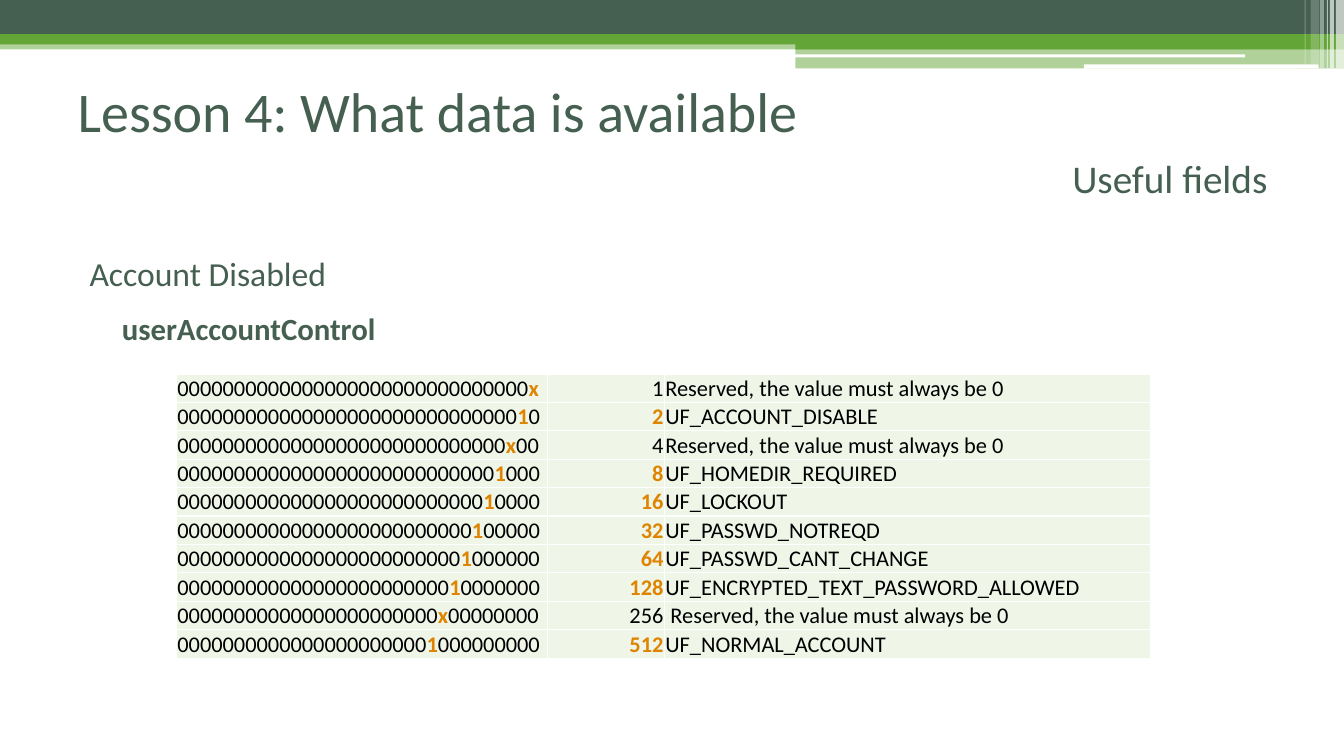
from lxml.etree import SubElement
from pptx import Presentation
from pptx.dml.color import RGBColor
from pptx.enum.shapes import MSO_SHAPE
from pptx.enum.text import MSO_ANCHOR, MSO_AUTO_SIZE, PP_ALIGN
from pptx.oxml.ns import qn
from pptx.util import Pt

PX = 9144  # one hundred px to the inch
THEME = {
    "font": "Calibri",
    "dark": RGBColor.from_string("455F51"),
    "green": RGBColor.from_string("63A537"),
    "white": RGBColor.from_string("FFFFFF"),
    "black": RGBColor.from_string("000000"),
    "orange": RGBColor.from_string("DE8400"),
    "cell": RGBColor.from_string("EFF6E8"),
    "title": 40, "subtitle": 28, "heading": 24, "field": 22, "table": 16,
}


def add_span(para, text, size, color, bold=False):
    span = para.add_run()
    span.text = text
    look = {"name": THEME["font"], "size": Pt(THEME[size]), "bold": bold}
    for key, value in look.items():
        setattr(span.font, key, value)
    span.font.color.rgb = THEME[color]


def place(shape, left, top, width, height):
    spot = {"left": left, "top": top, "width": width, "height": height}
    for key, value in spot.items():
        setattr(shape, key, value * PX)


deck = Presentation()
deck.slide_width, deck.slide_height = 1333 * PX, 750 * PX
page = deck.slides.add_slide(deck.slide_layouts[1])
shapes = page.shapes

# Header bands: left, top, width, height, colour, opacity in percent
RECT, ROUND = MSO_SHAPE.RECTANGLE, MSO_SHAPE.ROUNDED_RECTANGLE
bands = [
    (RECT, 0, 40, 1333, 9, "green", 50),
    (RECT, 0, 0, 1333, 34, "dark", 100),
    (RECT, 0, 34, 1333, 10, "green", 100),
    (RECT, 789, 39, 544, 10, "green", 100),
    (RECT, 789, 48, 544, 20, "green", 50),
    (ROUND, 788, 54, 447, 3, "white", 100),
    (ROUND, 1075, 64, 233, 4, "white", 100),
    (RECT, 1325, 0, 8, 68, "white", 65),
    (RECT, 1319, 0, 4, 68, "white", 65),
    (RECT, 1316, 0, 1, 68, "white", 60),
    (RECT, 1309, 0, 4, 68, "white", 40),
    (RECT, 1300, 0, 8, 64, "white", 20),
    (RECT, 1294, 0, 1, 64, "white", 30),
]
for kind, left, top, width, height, color, opacity in bands:
    band = shapes.add_shape(kind, 0, 0, 0, 0)
    place(band, left, top, width, height)
    band.shadow.inherit = False
    band.line.fill.background()
    band.fill.solid()
    band.fill.fore_color.rgb = THEME[color]
    if opacity < 100:
        tint = band.fill._xPr.find(qn("a:solidFill"))[0]
        SubElement(tint, qn("a:alpha"), val=str(opacity * 1000))

# Title, subtitle and headings: box, place, text, size, bold, indent, alignment, anchor
LEFT, RIGHT = PP_ALIGN.LEFT, PP_ALIGN.RIGHT
TOP, MIDDLE = MSO_ANCHOR.TOP, MSO_ANCHOR.MIDDLE
texts = [
    (shapes.title, (67, 51, 1200, 117), "Lesson 4: What data is available",
     "title", False, 0, LEFT, MIDDLE),
    (page.placeholders[1], (67, 148, 1200, 57), "Useful fields",
     "subtitle", False, 12, RIGHT, TOP),
    (shapes.add_textbox(0, 0, 0, 0), (67, 246, 1114, 56), "Account Disabled",
     "heading", False, 12, LEFT, TOP),
    (shapes.add_textbox(0, 0, 0, 0), (67, 302, 1237, 347), "userAccountControl",
     "field", True, 44, LEFT, TOP),
]
for box, spot, text, size, bold, indent, align, anchor in texts:
    place(box, *spot)
    frame = box.text_frame
    frame_format = {"word_wrap": True, "auto_size": MSO_AUTO_SIZE.NONE,
                    "vertical_anchor": anchor}
    for key, value in frame_format.items():
        setattr(frame, key, value)
    para = frame.paragraphs[0]
    settings = para._p.get_or_add_pPr()
    settings.set("marL", str(indent * PX))
    settings.set("indent", "0")
    SubElement(settings, qn("a:buNone"))
    para.alignment = align
    para.space_before = Pt(0)
    add_span(para, text, size, "dark", bold)

# Flag table: row n describes bit n of a 32-bit value
BITS = 32
RESERVED = "Reserved, the value must always be 0"
flags = [
    RESERVED, "UF_ACCOUNT_DISABLE", RESERVED, "UF_HOMEDIR_REQUIRED",
    "UF_LOCKOUT", "UF_PASSWD_NOTREQD", "UF_PASSWD_CANT_CHANGE",
    "UF_ENCRYPTED_TEXT_PASSWORD_ALLOWED", " " + RESERVED, "UF_NORMAL_ACCOUNT",
]
column_widths = [368, 116, 482]
row_height = 28
table = shapes.add_table(
    len(flags), len(column_widths), 175 * PX, 371 * PX,
    sum(column_widths) * PX, row_height * len(flags) * PX).table
table.first_row = table.horz_banding = False
for column, width in zip(table.columns, column_widths):
    column.width = width * PX

cell_format = {"margin_left": PX, "margin_right": PX, "margin_top": PX,
               "margin_bottom": 0, "vertical_anchor": MSO_ANCHOR.BOTTOM}
for bit, flag in enumerate(flags):
    table.rows[bit].height = row_height * PX
    used = RESERVED not in flag
    value_color = "orange" if used else "black"
    row_spans = [
        [("0" * (BITS - 1 - bit), "black", False),
         ("1" if used else "x", "orange", True),
         ("0" * bit, "black", False)],
        [(str(2 ** bit), value_color, used)],
        [(flag, "black", False)],
    ]
    for cell, spans, align in zip(table.rows[bit].cells, row_spans, (LEFT, RIGHT, LEFT)):
        for key, value in cell_format.items():
            setattr(cell, key, value)
        for side in ("lnL", "lnR", "lnT", "lnB"):
            border = SubElement(cell._tc.get_or_add_tcPr(), qn("a:" + side), w=str(Pt(1)))
            fill = SubElement(border, qn("a:solidFill"))
            SubElement(fill, qn("a:srgbClr"), val=str(THEME["white"]))
        cell.fill.solid()
        cell.fill.fore_color.rgb = THEME["cell"]
        para = cell.text_frame.paragraphs[0]
        para.alignment = align
        for text, color, bold in spans:
            if text:
                add_span(para, text, "table", color, bold)

deck.save("out.pptx")
